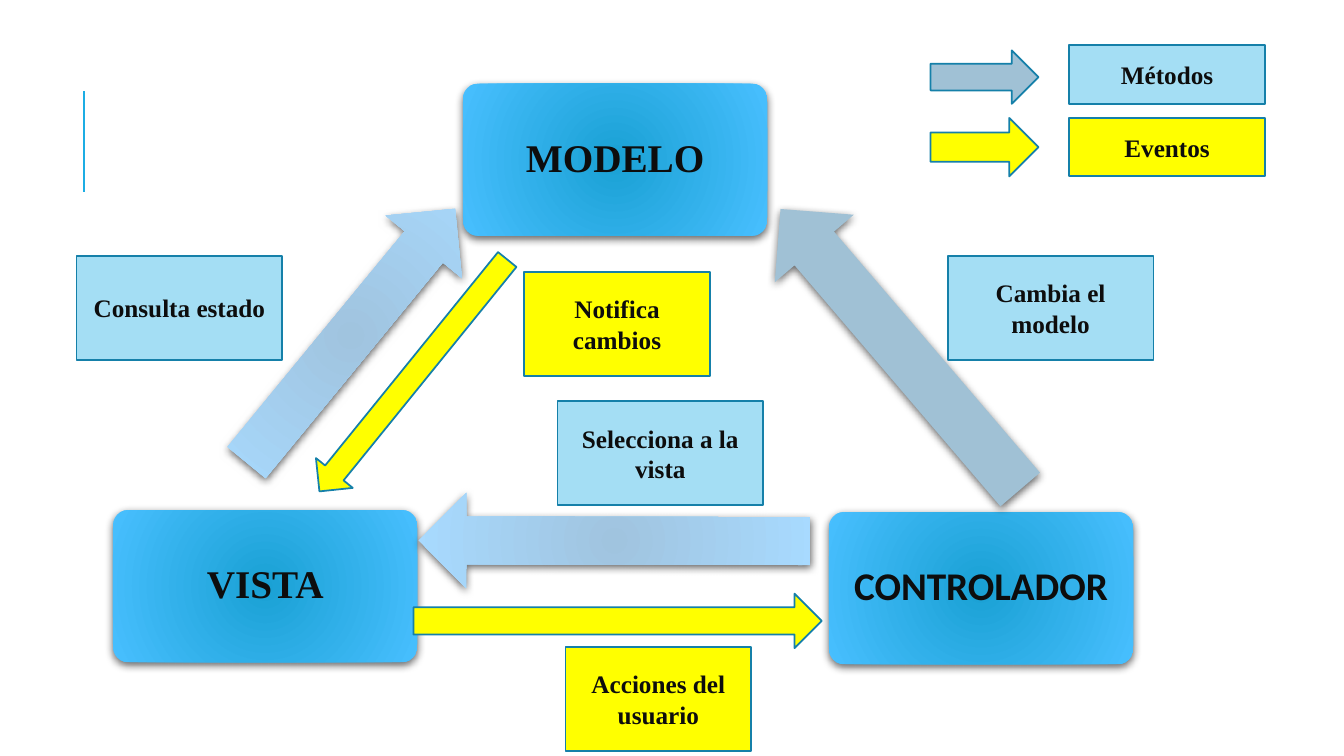
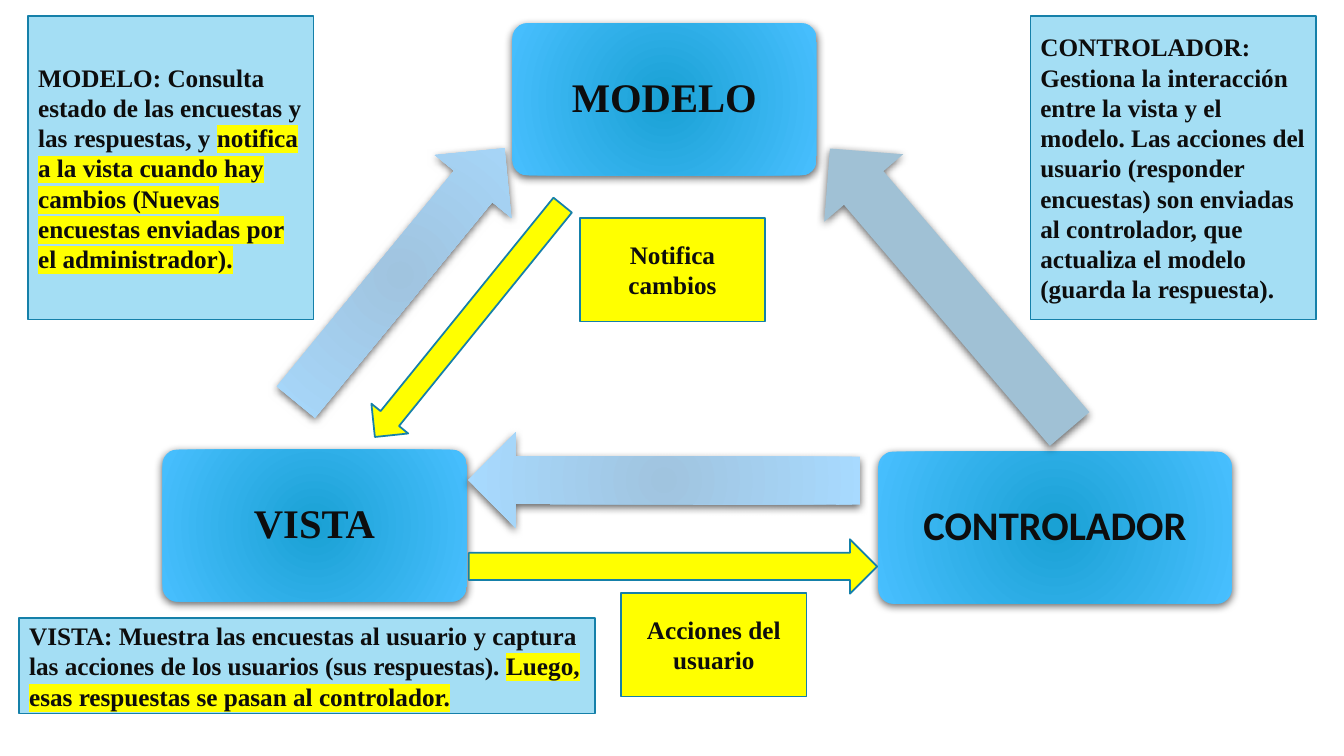
from dataclasses import dataclass

from lxml import etree
from pptx import Presentation
from pptx.dml.color import RGBColor
from pptx.enum import shapes, text
from pptx.oxml import ns
from pptx.util import Inches, Pt

SERIF, SANS = "Times New Roman", "Calibri"
INK, EDGE, RULE = "0D0D0D", "1580A9", "1CADE4"
SKY, STEEL, YELLOW = "A4DEF4", "A0C1D5", "FFFF00"
DEEP, PALE = ("1AA1D4", "48BFFF"), ("A0C4DF", "A8DAFF")

KIND = shapes.MSO_SHAPE
RECT, ROUND = KIND.RECTANGLE, KIND.ROUNDED_RECTANGLE
LEFT, RIGHT = KIND.LEFT_ARROW, KIND.RIGHT_ARROW
CENTER, START = text.PP_ALIGN.CENTER, text.PP_ALIGN.LEFT


@dataclass
class Card:
    """A main part of the diagram."""
    word: str
    x: float
    y: float
    font: str = SERIF
    wide: float = 3.02


@dataclass
class Arrow:
    kind: KIND
    x: float
    y: float
    w: float
    h: float
    fill: str | tuple[str, str] = YELLOW
    turn: float = 0


@dataclass
class Note:
    """A bordered label; mark is its highlighted ending."""
    words: str
    x: float
    y: float
    w: float
    h: float = 1.03
    fill: str = SKY
    align: text.PP_ALIGN = CENTER
    mark: str = ""


CARDS = [Card("MODELO", 4.59, 0.83), Card("CONTROLADOR", 8.22, 5.08, SANS),
         Card("VISTA", 1.12, 5.06)]
CALLS = [Arrow(LEFT, 7.1, 2.95, 3.66, 1.03, STEEL, 49.5),
         Arrow(LEFT, 4.15, 4.89, 3.89, 0.95, PALE, 0.1),
         Arrow(RIGHT, 1.85, 2.84, 3.26, 0.98, PALE, 309.4)]
EVENTS = [Arrow(RIGHT, 4.1, 5.89, 4.05, 0.54),
          Arrow(LEFT, 2.62, 3.49, 2.96, 0.47, turn=309)]
ALERTS = [Note("Notifica cambios", 5.2, 2.7, 1.84, fill=YELLOW),
          Note("Acciones del usuario", 5.61, 6.42, 1.84, fill=YELLOW)]

LABELS = [Note("Consulta estado", 0.76, 2.54, 2.04),
          Note("Selecciona a la vista", 5.53, 3.98, 2.04),
          Note("Cambia el modelo", 9.4, 2.54, 2.04),
          Note("Métodos", 10.6, 0.45, 1.95, 0.58),
          Note("Eventos", 10.6, 1.17, 1.95, 0.58, YELLOW)]
KEYS = [Arrow(RIGHT, 9.23, 0.5, 1.07, 0.53, STEEL),
        Arrow(RIGHT, 9.23, 1.17, 1.07, 0.58)]

ROLES = [
    Note("MODELO: Consulta estado de las encuestas y las respuestas, y ",
         0.28, 0.16, 2.83, 3.01, align=START,
         mark="notifica a la vista cuando hay cambios (Nuevas encuestas "
              "enviadas por el administrador)."),
    Note("VISTA: Muestra las encuestas al usuario y captura las acciones de "
         "los usuarios (sus respuestas). ",
         0.19, 6.13, 5.71, 0.95, align=START,
         mark="Luego, esas respuestas se pasan al controlador."),
    Note("CONTROLADOR: Gestiona la interacción entre la vista y el modelo. "
         "Las acciones del usuario (responder encuestas) son enviadas al "
         "controlador, que actualiza el modelo (guarda la respuesta).",
         10.22, 0.16, 2.83, 3.01, align=START),
]


def color(code: str) -> RGBColor:
    return RGBColor.from_string(code)


def add(parent, tag: str, **attrs):
    """Append a DrawingML child."""
    return etree.SubElement(parent, ns.qn(tag),
                            {key: str(val) for key, val in attrs.items()})


def paint(shape, fill: str | tuple[str, str]) -> None:
    """Fill with one colour, or radially from the first to the second."""
    if isinstance(fill, str):
        shape.fill.solid()
        shape.fill.fore_color.rgb = color(fill)
        return
    shape.fill.gradient()
    for stop, code in zip(shape.fill.gradient_stops, fill):
        stop.color.rgb = color(code)
    grad = shape._element.spPr.find(ns.qn("a:gradFill"))
    grad.remove(grad.find(ns.qn("a:lin")))
    ring = add(grad, "a:path", path="circle")
    add(ring, "a:fillToRect", l=100000, t=100000, r=100000, b=100000)


def shade(shape) -> None:
    """Cast a soft shadow downward."""
    cast = add(shape._element.spPr.find(ns.qn("a:effectLst")), "a:outerShdw",
               blurRad=Pt(6), dist=Pt(2), dir=5400000, rotWithShape=0)
    add(add(cast, "a:srgbClr", val="000000"), "a:alpha", val=60000)


def draw(slide, kind: KIND, x: float, y: float, w: float, h: float,
         fill: str | tuple[str, str], edge: bool = True, turn: float = 0):
    """Add a shape with either an outline or a shadow."""
    shape = slide.shapes.add_shape(kind, Inches(x), Inches(y),
                                   Inches(w), Inches(h))
    shape.rotation = turn
    shape.shadow.inherit = False
    paint(shape, fill)
    if edge:
        shape.line.color.rgb = color(EDGE)
        shape.line.width = Pt(1.25)
    else:
        shape.line.fill.background()
        shade(shape)
    return shape


def write(shape, words: str, *, size: float = 18, font: str = SERIF,
          align: text.PP_ALIGN = CENTER, mark: str = "",
          inset: float | None = None, space: float | None = None) -> None:
    frame = shape.text_frame
    frame.word_wrap = True
    frame.vertical_anchor = text.MSO_ANCHOR.MIDDLE
    if inset is not None:
        frame.margin_left = frame.margin_right = Inches(inset)
        frame.margin_top = frame.margin_bottom = Inches(inset)
    para = frame.paragraphs[0]
    para.alignment = align
    para.line_spacing = space
    for part in filter(None, (words, mark)):
        run = para.add_run()
        run.text = part
        run.font.size, run.font.bold, run.font.name = Pt(size), True, font
        run.font.color.rgb = color(INK)
        if part == mark:
            glow = etree.Element(ns.qn("a:highlight"))
            add(glow, "a:srgbClr", val=YELLOW)
            run.font._element.find(ns.qn("a:solidFill")).addnext(glow)


def point(slide, arrow: Arrow, dx: float = 0, dy: float = 0,
          edge: bool = True) -> None:
    draw(slide, arrow.kind, arrow.x + dx, arrow.y + dy, arrow.w, arrow.h,
         arrow.fill, edge, arrow.turn)


def label(slide, note: Note, dx: float = 0, dy: float = 0) -> None:
    box = draw(slide, RECT, note.x + dx, note.y + dy, note.w, note.h, note.fill)
    write(box, note.words, align=note.align, mark=note.mark)


def chart(slide, size: float, base: tuple[float, float] = (0, 0),
          shift: tuple[float, float] = (0, 0), grow: float = 0) -> None:
    """Draw the triangle moved by base, and its events moved by shift."""
    dx, dy = base
    for card in CARDS:
        wide = card.wide + (grow if card.font == SANS else 0)
        box = draw(slide, ROUND, card.x + dx, card.y + dy, wide, 1.51,
                   DEEP, edge=False)
        box.adjustments[0] = 0.1
        write(box, card.word, size=size, font=card.font, inset=0.12, space=0.9)
    for arrow in CALLS:
        point(slide, arrow, dx, dy, edge=False)
    for arrow in EVENTS:
        point(slide, arrow, *shift)
    for note in ALERTS:
        label(slide, note, *shift)


def rule(slide) -> None:
    line = slide.shapes.add_connector(
        shapes.MSO_CONNECTOR.STRAIGHT, Inches(0.83), Inches(1.9),
        Inches(0.83), Inches(0.9))
    line.line.color.rgb = color(RULE)
    line.line.width = Pt(1.5)
    add(line._element.spPr, "a:effectLst")


def main() -> None:
    deck = Presentation()
    deck.slide_width, deck.slide_height = Inches(13.33), Inches(7.5)
    blank = deck.slide_layouts[6]

    flow = deck.slides.add_slide(blank)
    rule(flow)
    chart(flow, 28)
    for note in LABELS:
        label(flow, note)
    for key in KEYS:
        point(flow, key)

    roles = deck.slides.add_slide(blank)
    chart(roles, 29, base=(0.49, -0.6), shift=(0.55, -0.54), grow=0.49)
    for note in ROLES:
        label(roles, note)

    deck.save("out.pptx")


if __name__ == "__main__":
    main()
